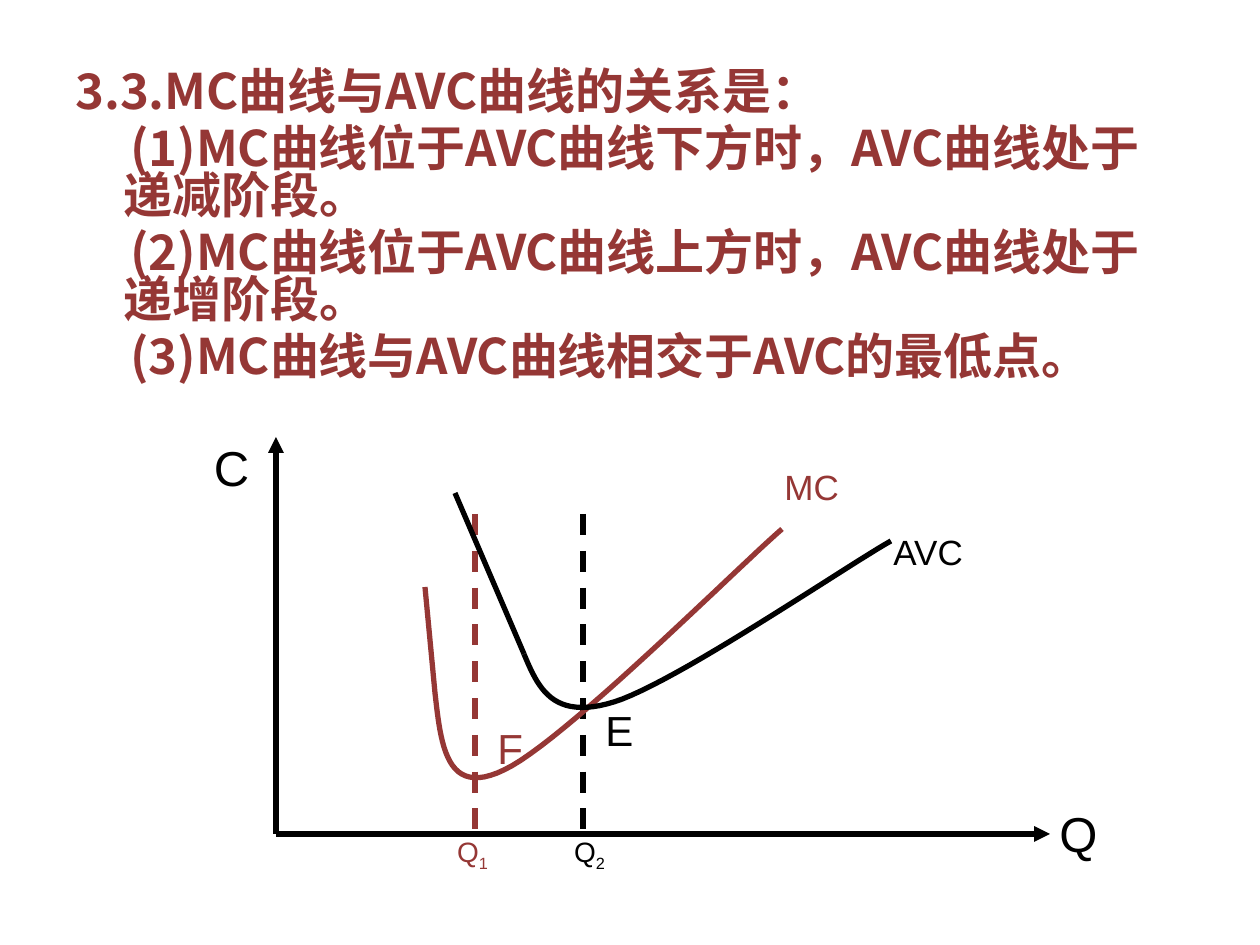
from dataclasses import dataclass

from lxml.etree import SubElement
from pptx import Presentation
from pptx.dml.color import RGBColor
from pptx.enum.dml import MSO_LINE
from pptx.enum.shapes import MSO_CONNECTOR
from pptx.enum.text import MSO_ANCHOR, PP_ALIGN
from pptx.oxml.ns import qn
from pptx.util import Emu, Pt


@dataclass(frozen=True)
class Theme:
    red: RGBColor = RGBColor(0x95, 0x37, 0x35)
    black: RGBColor = RGBColor(0, 0, 0)
    heading_font: str = "Noto Sans CJK SC"
    label_font: str = "Arial"
    large: int = 28
    point: int = 24
    curve: int = 20
    tick: int = 16
    stroke: int = 3


THEME = Theme()
SCALE = 914400 / 126
STEPS = 24
HANGING, ITEM_INDENT = 48, 7

STATEMENTS = [
    ("3.3.MC曲线与AVC曲线的关系是：", -HANGING),
    ("(1)MC曲线位于AVC曲线下方时，AVC曲线处于递减阶段。", ITEM_INDENT),
    ("(2)MC曲线位于AVC曲线上方时，AVC曲线处于递增阶段。", ITEM_INDENT),
    ("(3)MC曲线与AVC曲线相交于AVC的最低点。", ITEM_INDENT),
]
ORIGIN = (276, 834)
AXIS_ENDS = [(276, 437), (1050, 834)]
GUIDES = [(583, THEME.black), (475, THEME.red)]
GUIDE_TOP = 514
CURVES = [
    ((425, 587), (435, 693),
     [((441, 745), (446, 798), (504, 770)), ((562, 743), (736, 569), (782, 529))],
     THEME.red),
    ((455, 493), (524, 654),
     [((538, 687), (552, 721), (614, 702)), ((675, 683), (845, 567), (891, 541))],
     THEME.black),
]
SIDE_LABELS = [
    ("AVC", (881, 524, 146, 49), THEME.curve, THEME.black),
    ("MC", (772, 459, 120, 55), THEME.curve, THEME.red),
    ("Q", (1047, 797, 63, 64), THEME.large, THEME.black),
]
CENTRED_LABELS = [
    ("C", "", (197, 403, 69, 127), THEME.large, THEME.black),
    ("E", "", (593, 708, 30, 44), THEME.point, THEME.black),
    ("F", "", (485, 726, 30, 44), THEME.point, THEME.red),
    ("Q", "1", (444, 827, 57, 53), THEME.tick, THEME.red),
    ("Q", "2", (561, 827, 57, 53), THEME.tick, THEME.black),
]


def px(value):
    return Emu(round(value * SCALE))


def add_frame(page, box, wrap=True):
    frame = page.shapes.add_textbox(*map(px, box)).text_frame
    frame.word_wrap = wrap
    return frame


def style(para, font, size, color, bold=False):
    para.font.name = font
    para.font.size = Pt(size)
    para.font.bold = bold
    para.font.color.rgb = color


def add_statements(page):
    frame = add_frame(page, (63, 66, 1134, 358))
    for index, (text, indent) in enumerate(STATEMENTS):
        para = frame.add_paragraph() if index else frame.paragraphs[0]
        para.text = text
        para.line_spacing = 0.8
        para.space_before = Pt(5.6)
        style(para, THEME.heading_font, THEME.large, THEME.red, True)
        properties = para._p.get_or_add_pPr()
        properties.set("marL", str(px(HANGING)))
        properties.set("indent", str(px(indent)))
        SubElement(properties.find(qn("a:defRPr")), qn("a:ea"), typeface=THEME.heading_font)


def add_line(page, start, end, color, dashed=False, arrow=False):
    line = page.shapes.add_connector(MSO_CONNECTOR.STRAIGHT, *map(px, start + end))
    line.line.color.rgb = color
    line.line.width = Pt(THEME.stroke)
    if dashed:
        line.line.dash_style = MSO_LINE.DASH
    if arrow:
        SubElement(line.line._get_or_add_ln(), qn("a:tailEnd"), type="triangle")
    SubElement(line._element.spPr, qn("a:effectLst"))


def bezier(start, first, second, end):
    for step in range(1, STEPS + 1):
        t = step / STEPS
        weights = ((1 - t) ** 3, 3 * t * (1 - t) ** 2, 3 * t**2 * (1 - t), t**3)
        yield tuple(
            sum(weight * value for weight, value in zip(weights, values))
            for values in zip(start, first, second, end)
        )


def add_curve(page, start, segments, color):
    points = [start]
    for segment in segments:
        points.extend(bezier(points[-1], *segment))
    builder = page.shapes.build_freeform(*map(px, start), scale=1.0)
    builder.add_line_segments([tuple(map(px, point)) for point in points[1:]], close=False)
    curve = builder.convert_to_shape()
    curve.shadow.inherit = False
    curve.fill.background()
    curve.line.color.rgb = color
    curve.line.width = Pt(THEME.stroke)


def add_side_label(page, text, box, size, color):
    para = add_frame(page, box).paragraphs[0]
    para.text = text
    style(para, THEME.label_font, size, color)


def add_centred_label(page, text, subscript, box, size, color):
    frame = add_frame(page, box, wrap=False)
    frame.vertical_anchor = MSO_ANCHOR.MIDDLE
    para = frame.paragraphs[0]
    para.text = text
    para.alignment = PP_ALIGN.CENTER
    style(para, THEME.label_font, size, color)
    if subscript:
        span = para.add_run()
        span.text = subscript
        span.font._element.set("baseline", "-25000")


def main():
    deck = Presentation()
    deck.slide_width, deck.slide_height = px(1260), px(945)
    page = deck.slides.add_slide(deck.slide_layouts[6])
    add_statements(page)
    for x, color in GUIDES:
        add_line(page, (x, GUIDE_TOP), (x, ORIGIN[1]), color, dashed=True)
    for tip, start, segments, color in CURVES:
        add_curve(page, start, segments, color)
        add_line(page, start, tip, color)
    for end in AXIS_ENDS:
        add_line(page, ORIGIN, end, THEME.black, arrow=True)
    for label in SIDE_LABELS:
        add_side_label(page, *label)
    for label in CENTRED_LABELS:
        add_centred_label(page, *label)
    deck.save("out.pptx")


if __name__ == "__main__":
    main()
